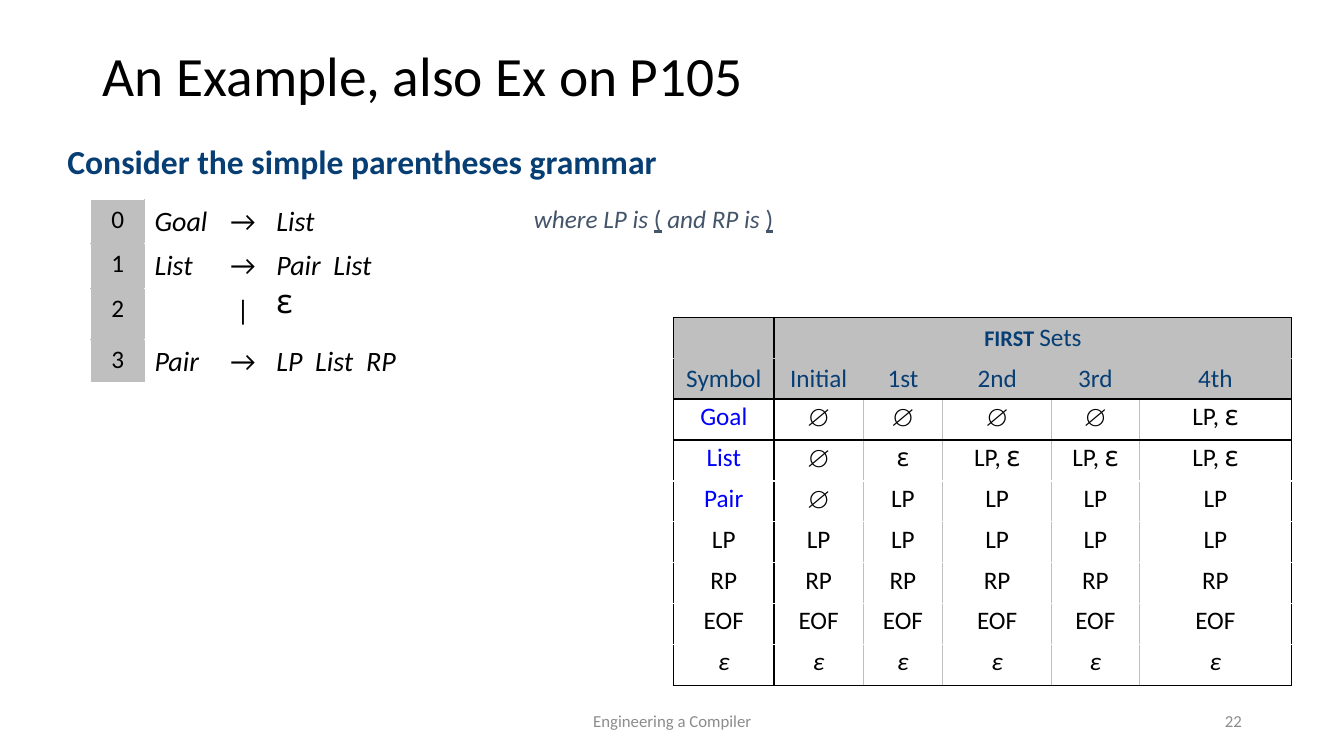
import dataclasses
import typing

import lxml.etree
import pptx
import pptx.dml.color
import pptx.enum.text
import pptx.oxml.ns
import pptx.util

Cm = pptx.util.Cm
Pt = pptx.util.Pt
ALIGN = pptx.enum.text.PP_ALIGN
ANCHOR = pptx.enum.text.MSO_ANCHOR


@dataclasses.dataclass(frozen=True)
class Theme:
    black: str = "000000"
    white: str = "FFFFFF"
    grey: str = "BFBFBF"
    navy: str = "073E74"
    slate: str = "44546A"
    blue: str = "0000FF"
    muted: str = "8C8C8C"
    text_font: str = "Calibri"
    epsilon_font: str = "Comic Neue"
    symbol_font: str = "Times New Roman"
    title: float = 39.6
    heading: float = 24
    rule: float = 20
    body: float = 18
    small: float = 16
    footer: float = 12


THEME = Theme()


@dataclasses.dataclass(frozen=True)
class Run:
    text: str
    size: float = THEME.body
    color: str = THEME.black
    font: str = THEME.text_font
    look: dict[str, bool] = dataclasses.field(default_factory=dict)


@dataclasses.dataclass(frozen=True)
class Label:
    run: Run
    left: float
    top: float
    width: float
    height: float
    align: typing.Any = ALIGN.LEFT
    anchor: typing.Any = ANCHOR.MIDDLE
    spacing: float = 1.0


class Line(typing.NamedTuple):
    color: str
    points: float


ITALIC = {"italic": True}
WHITE_LINE = Line(THEME.white, 1)
GREY_LINE = Line(THEME.grey, 0.75)
FRAME_LINE = Line(THEME.black, 0.75)
STRONG_LINE = Line(THEME.black, 1.5)
NUMBER_LINE = Line(THEME.grey, 0.5)


def write(frame: typing.Any, runs: list[Run], align: typing.Any, spacing: typing.Any = None) -> None:
    paragraph = frame.paragraphs[0]
    paragraph.alignment = align
    paragraph.line_spacing = spacing
    for part in runs:
        piece = paragraph.add_run()
        piece.text = part.text
        formats = {"name": part.font, "size": Pt(part.size), "bold": False, "italic": False} | part.look
        for attribute, value in formats.items():
            setattr(piece.font, attribute, value)
        piece.font.color.rgb = pptx.dml.color.RGBColor.from_string(part.color)


def add_label(slide: typing.Any, label: Label) -> None:
    box = slide.shapes.add_textbox(Cm(label.left), Cm(label.top), Cm(label.width), Cm(label.height))
    box.text_frame.word_wrap = True
    box.text_frame.vertical_anchor = label.anchor
    write(box.text_frame, [label.run], label.align, label.spacing)


def add_grid(slide: typing.Any, left: float, top: float, widths: list[float], heights: list[float]) -> typing.Any:
    grid = slide.shapes.add_table(len(heights), len(widths), Cm(left), Cm(top),
                                  Cm(sum(widths)), Cm(sum(heights))).table
    grid.first_row = grid.horz_banding = False
    for column, width in zip(grid.columns, widths):
        column.width = Cm(width)
    for row, height in zip(grid.rows, heights):
        row.height = Cm(height)
    return grid


def dress(cell: typing.Any, fill: str | None, left: Line, right: Line, top: Line, bottom: Line) -> None:
    properties = cell._tc.get_or_add_tcPr()
    qn = pptx.oxml.ns.qn
    for side, line in zip("LRTB", (left, right, top, bottom)):
        edge = lxml.etree.SubElement(properties, qn(f"a:ln{side}"), w=str(Pt(line.points)))
        paint = lxml.etree.SubElement(edge, qn("a:solidFill"))
        lxml.etree.SubElement(paint, qn("a:srgbClr"), val=line.color)
    if fill is None:
        cell.fill.background()
    else:
        cell.fill.solid()
        cell.fill.fore_color.rgb = pptx.dml.color.RGBColor.from_string(fill)


def add_grammar(slide: typing.Any) -> None:
    productions = [("Goal", "→", "List"), ("List", "→", "Pair  List"), ("", "|", "ε"),
                   ("Pair", "→", "LP  List  RP")]
    grid = add_grid(slide, 2.29, 5.03, [1.35, 1.9, 1.17, 4.06, 8.97], [1.09, 1.14, 1.28, 1.09])
    last = len(productions) - 1
    for number, (head, arrow, expansion) in enumerate(productions):
        for column in range(5):
            numbered = column == 0
            dress(grid.cell(number, column), THEME.grey if numbered else None,
                  NUMBER_LINE if column == 1 else WHITE_LINE,
                  NUMBER_LINE if numbered else WHITE_LINE,
                  NUMBER_LINE if numbered and number > 0 else WHITE_LINE,
                  NUMBER_LINE if numbered and number < last else WHITE_LINE)
        write(grid.cell(number, 0).text_frame, [Run(str(number))], ALIGN.CENTER)
        if head:
            write(grid.cell(number, 1).text_frame, [Run(head, THEME.rule, look=ITALIC)], ALIGN.LEFT)
        write(grid.cell(number, 2).text_frame, [Run(arrow, THEME.rule)], ALIGN.CENTER)
        if expansion == "ε":
            derived, spacing = Run("ε", THEME.heading, font=THEME.epsilon_font), Pt(20)
        else:
            derived, spacing = Run(expansion, THEME.rule, look=ITALIC), None
        write(grid.cell(number, 3).text_frame, [derived], ALIGN.LEFT, spacing)

    # Side note on the terminal names
    note = [("where LP is ", ITALIC), ("(", {"underline": True}), (" ", {}),
            ("and RP is ", ITALIC), (")", {"underline": True})]
    write(grid.cell(0, 4).text_frame,
          [Run(text, color=THEME.slate, look=look) for text, look in note], ALIGN.RIGHT)


def set_runs(text: str, row: int, column: int) -> list[Run]:
    if row == 1:
        return [Run(text, color=THEME.navy)]
    if text == "∅":
        return [Run(text, font=THEME.symbol_font)]
    if text == "LP, ε":
        return [Run("LP, "), Run("ε", THEME.rule, font=THEME.epsilon_font)]
    if text == "ε":
        return [Run(text, look=ITALIC)] if column == 0 or row == 8 else [Run(text, font=THEME.epsilon_font)]
    nonterminal = column == 0 and row in (2, 3, 4)
    return [Run(text, color=THEME.blue if nonterminal else THEME.black)]


def add_first_sets(slide: typing.Any) -> None:
    rounds = [["Symbol", "Initial", "1st", "2nd", "3rd", "4th"],
              ["Goal", "∅", "∅", "∅", "∅", "LP, ε"],
              ["List", "∅", "ε", "LP, ε", "LP, ε", "LP, ε"],
              ["Pair", "∅", "LP", "LP", "LP", "LP"]]
    rounds += [[terminal] * 6 for terminal in ("LP", "RP", "EOF", "ε")]
    grid = add_grid(slide, 16.97, 8.0, [2.54, 2.24, 2.01, 2.74, 2.21, 3.84], [1.03] * 9)
    across = {0: FRAME_LINE, 1: GREY_LINE, 2: STRONG_LINE, 3: STRONG_LINE, 9: FRAME_LINE}
    down = {0: FRAME_LINE, 1: STRONG_LINE, 6: FRAME_LINE}
    for row in range(9):
        for column in range(6):
            right = 6 if (row, column) == (0, 1) else column + 1
            dress(grid.cell(row, column), THEME.grey if row < 2 else THEME.white,
                  down.get(column, GREY_LINE), down.get(right, GREY_LINE),
                  across.get(row, WHITE_LINE), across.get(row + 1, WHITE_LINE))

    # Heading over the rounds
    grid.cell(0, 1).merge(grid.cell(0, 5))
    write(grid.cell(0, 1).text_frame,
          [Run("FIRST ", THEME.small, THEME.navy, look={"bold": True}), Run("Sets", color=THEME.navy)],
          ALIGN.CENTER)

    # Round names and the sets under them
    for row, entries in enumerate(rounds, start=1):
        for column, text in enumerate(entries):
            write(grid.cell(row, column).text_frame, set_runs(text, row, column),
                  ALIGN.CENTER, Pt(20) if row > 1 else None)


LABELS = [
    Label(Run("An Example, also Ex on P105", THEME.title), 2.34, 1.02, 29.21, 1.93, spacing=0.9),
    Label(Run("Consider the simple parentheses grammar", THEME.heading, THEME.navy, look={"bold": True}),
          1.45, 3.53, 22.86, 1.3, anchor=ANCHOR.TOP, spacing=0.9),
    Label(Run("Engineering a Compiler", THEME.footer, THEME.muted), 11.23, 17.65, 11.43, 1.02, ALIGN.CENTER),
    Label(Run("22", THEME.footer, THEME.muted), 23.93, 17.65, 7.62, 1.02, ALIGN.RIGHT),
]


def main() -> None:
    deck = pptx.Presentation()
    deck.slide_width, deck.slide_height = Cm(33.87), Cm(19.05)
    slide = deck.slides.add_slide(deck.slide_layouts[6])
    for label in LABELS:
        add_label(slide, label)
    add_grammar(slide)
    add_first_sets(slide)
    deck.save("out.pptx")


if __name__ == "__main__":
    main()
